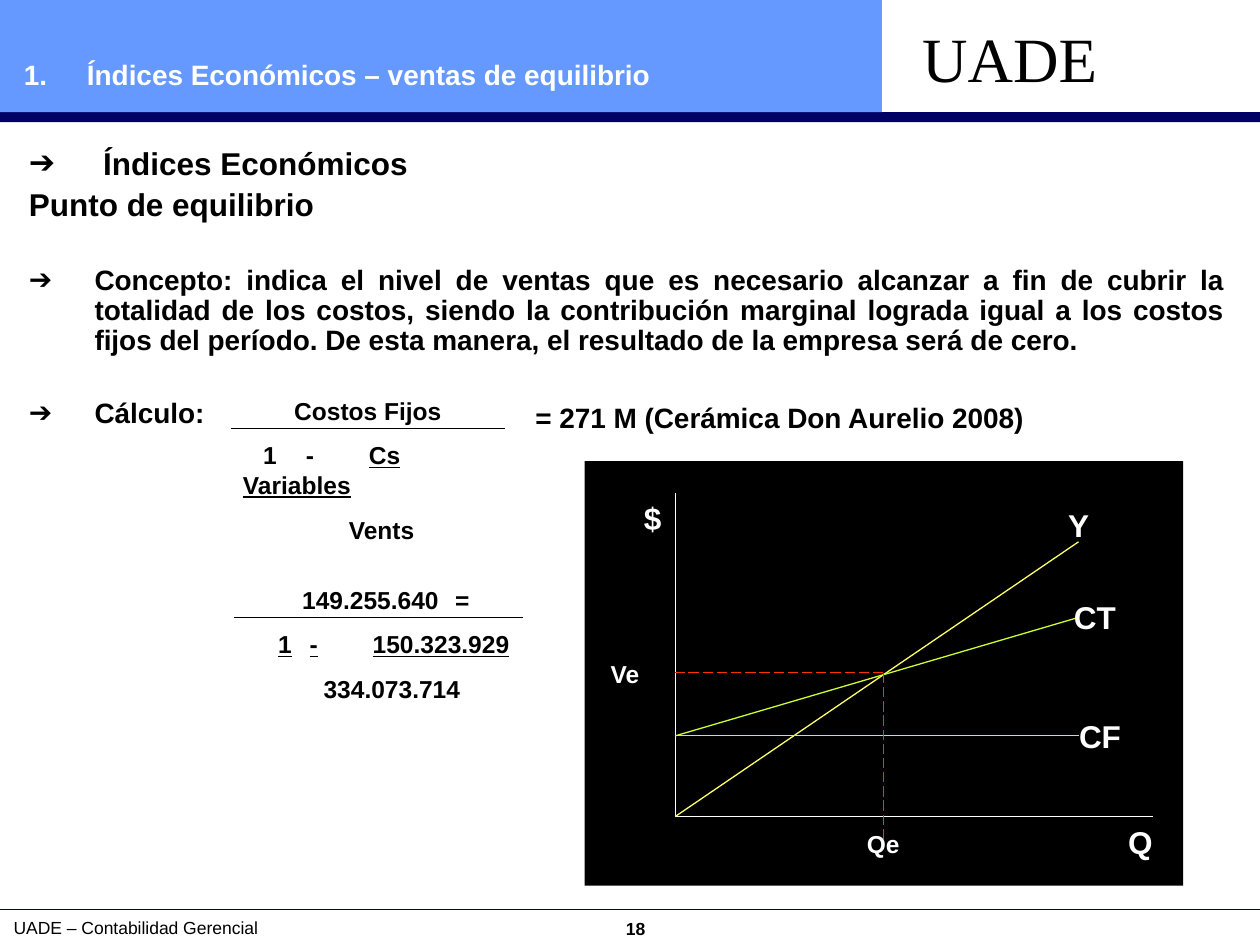
import dataclasses
import typing

import lxml.etree
import pptx
import pptx.dml.color
import pptx.enum.dml
import pptx.enum.shapes
import pptx.enum.text
import pptx.oxml.ns
import pptx.util

Inches = pptx.util.Inches
Pt = pptx.util.Pt
Align = pptx.enum.text.PP_ALIGN
qn = pptx.oxml.ns.qn

BLACK, WHITE, NAVY, RED = "000000", "FFFFFF", "000066", "FF3300"


@dataclasses.dataclass
class Run:
    text: str
    under: bool = False


@dataclasses.dataclass
class Para:
    runs: list[Run]
    size: float
    color: str = BLACK
    bold: bool = True
    align: typing.Any = Align.LEFT
    before: float = 0
    space: float = 1
    margin: float = 0
    indent: float = 0
    tabs: tuple[float, ...] = ()
    bullet: str = ""
    font: str = "Arial"


@dataclasses.dataclass
class Rule:
    start: tuple[float, float]
    end: tuple[float, float]
    color: str
    dash: bool = False


@dataclasses.dataclass
class Label:
    text: str
    left: float
    top: float
    width: float = 0.98
    size: float = 18


def paint(target: typing.Any, color: str) -> None:
    target.rgb = pptx.dml.color.RGBColor.from_string(color)


def write(frame: typing.Any, paras: list[Para]) -> None:
    frame.word_wrap = True
    frame.auto_size = pptx.enum.text.MSO_AUTO_SIZE.NONE
    frame.vertical_anchor = pptx.enum.text.MSO_ANCHOR.TOP
    for pos, item in enumerate(paras):
        para = frame.paragraphs[0] if pos == 0 else frame.add_paragraph()
        props = para._p.get_or_add_pPr()
        props.set("marL", str(Inches(item.margin)))
        props.set("indent", str(Inches(item.indent)))
        if item.bullet:
            lxml.etree.SubElement(props, qn("a:buChar")).set("char", item.bullet)
        else:
            lxml.etree.SubElement(props, qn("a:buNone"))
        if item.tabs:
            stops = lxml.etree.SubElement(props, qn("a:tabLst"))
            for stop in item.tabs:
                tab = lxml.etree.SubElement(stops, qn("a:tab"))
                tab.set("pos", str(Inches(stop)))
                tab.set("algn", "l")
        para.alignment = item.align
        para.space_before = Pt(item.before)
        para.line_spacing = item.space
        for part in item.runs:
            run = para.add_run()
            run.text = part.text
            run.font.name = item.font
            run.font.size = Pt(item.size)
            run.font.bold = item.bold
            run.font.underline = part.under
            paint(run.font.color, item.color)


def place(shape: typing.Any, left: float, top: float, width: float, height: float) -> None:
    shape.left, shape.top = Inches(left), Inches(top)
    shape.width, shape.height = Inches(width), Inches(height)


def add_text(slide: typing.Any, left: float, top: float, width: float,
             height: float, paras: list[Para]) -> None:
    box = slide.shapes.add_textbox(Inches(left), Inches(top), Inches(width), Inches(height))
    write(box.text_frame, paras)


def add_block(slide: typing.Any, left: float, top: float, width: float,
              height: float, color: str) -> None:
    block = slide.shapes.add_shape(pptx.enum.shapes.MSO_SHAPE.RECTANGLE, Inches(left),
                                   Inches(top), Inches(width), Inches(height))
    block.shadow.inherit = False
    block.fill.solid()
    paint(block.fill.fore_color, color)
    block.line.fill.background()


def add_rule(slide: typing.Any, rule: Rule) -> None:
    ends = [Inches(value) for value in rule.start + rule.end]
    line = slide.shapes.add_connector(pptx.enum.shapes.MSO_CONNECTOR.STRAIGHT, *ends)
    line.line.width = Pt(0.75)
    paint(line.line.color, rule.color)
    if rule.dash:
        line.line.dash_style = pptx.enum.dml.MSO_LINE.LONG_DASH
    lxml.etree.SubElement(line._element.spPr, qn("a:effectLst"))


def add_ratio(slide: typing.Any, left: float, top: float, width: float,
              paras: list[Para]) -> None:
    add_text(slide, left, top, width, 1.05, paras)
    add_rule(slide, Rule((left, top + 0.31), (left + width, top + 0.31), BLACK))


def main() -> None:
    deck = pptx.Presentation()
    deck.slide_width, deck.slide_height = Inches(10), Inches(7.5)
    slide = deck.slides.add_slide(deck.slide_layouts[1])
    title, body = slide.placeholders

    # Header and footer
    add_block(slide, 0, 0.89, 10, 0.08, NAVY)
    add_block(slide, 0, 0, 7, 0.89, "6699FF")
    add_rule(slide, Rule((0, 7.22), (10, 7.22), NAVY))
    add_text(slide, 7.22, 0.11, 1.6, 0.7,
             [Para([Run("UADE")], 36, bold=False, font="Times New Roman")])
    add_text(slide, 0.01, 7.23, 4.08, 0.27,
             [Para([Run("UADE – Contabilidad Gerencial")], 10, bold=False)])
    add_text(slide, 0.07, 7.24, 9.95, 0.27, [Para([Run("18")], 10, align=Align.CENTER)])

    # Title, brought in front of the blue band
    place(title, 0.09, 0.41, 6.83, 0.37)
    write(title.text_frame, [Para([Run("1.\tÍndices Económicos – ventas de equilibrio")],
                                  16, WHITE, margin=0.5, indent=-0.5)])
    slide.shapes._spTree.append(title._element)

    # Body list
    hang = {"align": Align.JUSTIFY, "margin": 0.52, "indent": -0.52}
    point = {**hang, "bullet": "➔"}
    notion = ("Concepto: indica el nivel de ventas que es necesario alcanzar a fin de cubrir "
              "la totalidad de los costos, siendo la contribución marginal lograda igual a los "
              "costos fijos del período. De esta manera, el resultado de la empresa será de cero.")
    place(body, 0.13, 1.09, 9.69, 2.39)
    write(body.text_frame, [
        Para([Run(" Índices Económicos")], 18, **point),
        Para([Run("Punto de equilibrio")], 18, before=4.5, space=0.9, **hang),
        Para([Run(notion)], 16, before=24.5, space=0.9, **point),
        Para([Run("Cálculo:")], 16, before=24.5, space=0.9, **point),
    ])
    add_text(slide, 4.15, 3.13, 5, 0.37,
             [Para([Run("= 271 M (Cerámica Don Aurelio 2008)")], 16)])

    # Formula in words and in figures
    add_ratio(slide, 1.83, 3.09, 2.18, [
        Para([Run("Costos Fijos")], 14, align=Align.CENTER),
        Para([Run("1\t-\t"), Run("Cs Variables", True)], 14, before=8.8,
             indent=0.16, tabs=(0.44, 0.66)),
        Para([Run("Vents")], 14, before=8.8, indent=0.84),
    ])
    add_ratio(slide, 1.86, 4.59, 2.29, [
        Para([Run("149.255.640\t=")], 14, indent=0.44, tabs=(1.79,)),
        Para([Run("1\t-\t150.323.929", True)], 14, before=8.8,
             indent=0.25, tabs=(0.52, 0.75)),
        Para([Run("334.073.714")], 14, before=8.8, indent=0.61),
    ])

    # Break-even diagram
    add_block(slide, 4.64, 3.66, 4.75, 3.37, BLACK)
    left, base, fixed, right = 5.36, 6.48, 5.84, 8.56
    even = (7.01, 5.34)
    for rule in (
        Rule((left, 3.91), (left, base), WHITE),
        Rule((left, base), (9.15, base), WHITE),
        Rule((left, base), (right, 4.3), "FFFF66"),
        Rule((left, fixed), (right, fixed), "CCCCFF"),
        Rule((left, fixed), (right, 4.9), "CCFF33"),
        Rule(even, (left, even[1]), RED, True),
        Rule(even, (even[0], 6.72), RED, True),
    ):
        add_rule(slide, rule)
    for label in (
        Label("$", 5, 3.91, 0.36),
        Label("Q", 8.56, 6.48),
        Label("Y", 8.07, 3.97),
        Label("CT", 8.2, 4.7),
        Label("CF", 8.24, 5.64),
        Label("Qe", 6.52, 6.53, size=14),
        Label("Ve", 4.47, 5.18, size=14),
    ):
        add_text(slide, label.left, label.top, label.width, 0.4,
                 [Para([Run(label.text)], label.size, WHITE, align=Align.CENTER)])

    deck.save("out.pptx")


if __name__ == "__main__":
    main()
